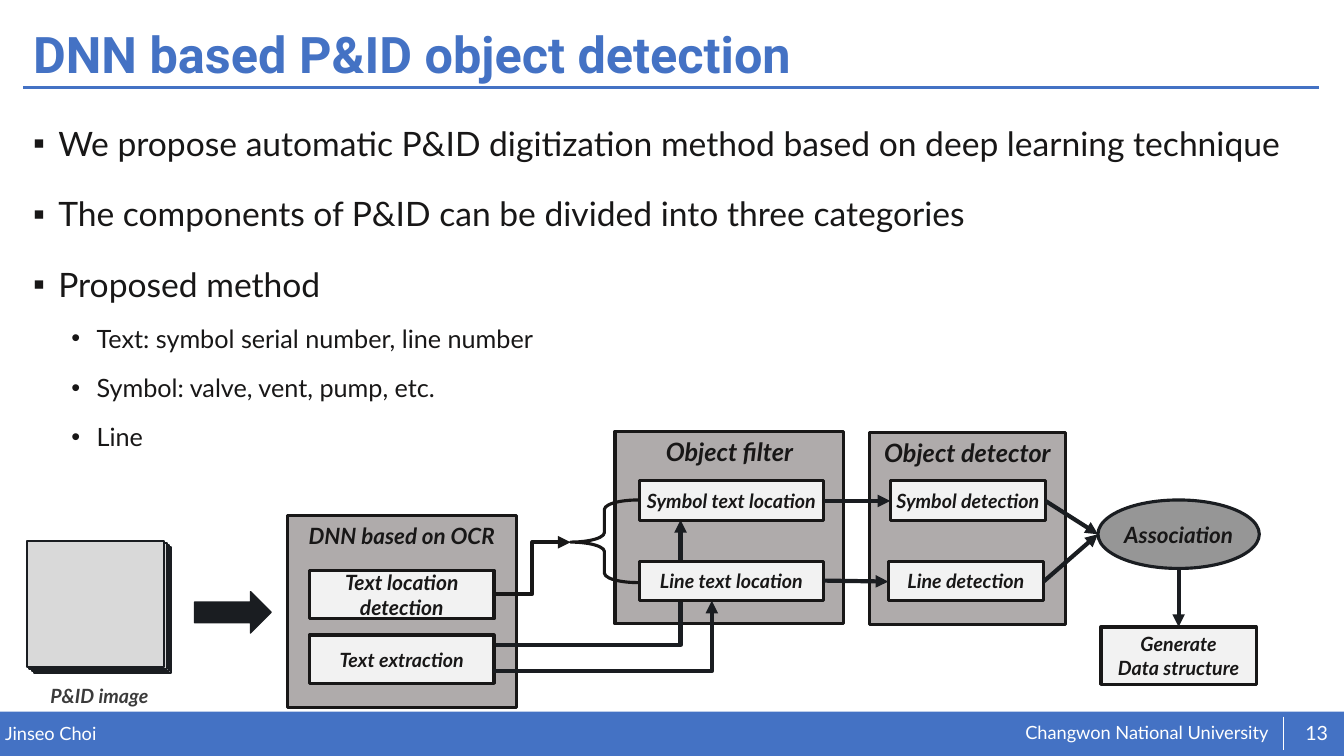
from lxml.etree import SubElement
from pptx import Presentation
from pptx.dml.color import RGBColor
from pptx.enum.shapes import MSO_CONNECTOR, MSO_SHAPE
from pptx.enum.text import MSO_ANCHOR, PP_ALIGN
from pptx.oxml.ns import qn
from pptx.util import Inches, Pt

BLUE, WHITE, INK, DARK = "4472C4", "FFFFFF", "181717", "1A1D21"
PANEL_GREY, BOX_GREY, PAGE_GREY, OVAL_GREY = "AFABAB", "F2F2F2", "D9D9D9", "969696"

BULLETS = [
    ("We propose automatic P&ID digitization method based on deep learning technique", 0),
    ("The components of P&ID can be divided into three categories", 0),
    ("Proposed method", 0),
    ("Text: symbol serial number, line number", 1),
    ("Symbol: valve, vent, pump, etc.", 1),
    ("Line", 1),
]
BULLET_LEVELS = [("▪", 0.25, 24, 10), ("•", 0.63, 18, 5)]

PANELS = [
    ("Object detector", 8.62, 4.29, 1.95, 18, 0.05),
    ("Object filter", 6.1, 4.28, 2.27, 18, 0.05),
    ("DNN based on OCR", 2.85, 5.11, 2.27, 16, 0.07),
]
STEPS = [
    ("Text location detection", 3.07, 5.66, 1.83, 0.48, 15),
    ("Text extraction", 3.07, 6.3, 1.83, 0.48, 14),
    ("Symbol text location", 6.34, 4.77, 1.83, 0.39, 14),
    ("Line text location", 6.34, 5.57, 1.83, 0.39, 14),
    ("Symbol detection", 8.83, 4.77, 1.54, 0.39, 14),
    ("Line detection", 8.81, 5.57, 1.54, 0.39, 14),
    ("Generate\nData structure", 10.92, 6.22, 1.54, 0.57, 14),
]
STRAIGHT_ARROWS = [
    ((8.17, 4.97), (8.83, 4.97)),
    ((8.17, 5.76), (8.81, 5.77)),
    ((10.35, 5.77), (10.89, 5.3)),
    ((10.37, 4.97), (10.89, 5.3)),
    ((11.69, 5.64), (11.69, 6.22)),
]


def color(value):
    return RGBColor.from_string(value)


def format_text(frame, size, ink, font="Lato", bold=False, italic=False, align=PP_ALIGN.LEFT):
    for paragraph in frame.paragraphs:
        paragraph.alignment = align
        for run in paragraph.runs:
            run.font.size = Pt(size)
            run.font.name = font
            run.font.bold = bold
            run.font.italic = italic
            run.font.color.rgb = color(ink)


def set_margins(frame, x, y):
    frame.margin_left = frame.margin_right = Inches(x)
    frame.margin_top = frame.margin_bottom = Inches(y)


def add_label(slide, text, left, top, width, height, size, ink,
              margins=(0, 0), anchor=MSO_ANCHOR.TOP, **style):
    label = slide.shapes.add_textbox(Inches(left), Inches(top), Inches(width), Inches(height))
    frame = label.text_frame
    frame.word_wrap = True
    frame.vertical_anchor = anchor
    set_margins(frame, *margins)
    frame.text = text
    format_text(frame, size, ink, **style)
    return frame


def add_figure(slide, preset, left, top, width, height, fill=None, line=None, weight=2.25):
    figure = slide.shapes.add_shape(preset, Inches(left), Inches(top), Inches(width), Inches(height))
    figure.shadow.inherit = False
    if fill:
        figure.fill.solid()
        figure.fill.fore_color.rgb = color(fill)
    else:
        figure.fill.background()
    if line:
        figure.line.color.rgb = color(line)
        figure.line.width = Pt(weight)
    else:
        figure.line.fill.background()
    return figure


def add_caption(figure, text, size, anchor=MSO_ANCHOR.MIDDLE, margin_y=0):
    frame = figure.text_frame
    frame.word_wrap = True
    frame.vertical_anchor = anchor
    set_margins(frame, 0, margin_y)
    frame.text = text
    format_text(frame, size, INK, bold=True, italic=True, align=PP_ALIGN.CENTER)


def add_line(slide, start, end, ink, weight, arrow=False, route=MSO_CONNECTOR.STRAIGHT):
    points = [Inches(value) for value in (*start, *end)]
    line = slide.shapes.add_connector(route, *points)
    line.line.color.rgb = color(ink)
    line.line.width = Pt(weight)
    properties = line._element.spPr
    if arrow:
        SubElement(properties.find(qn("a:ln")), qn("a:tailEnd"), type="triangle")
    SubElement(properties, qn("a:effectLst"))
    return line


def add_corner_arrow(slide, start, end):
    arrow = add_line(slide, start, end, DARK, 3, True, MSO_CONNECTOR.ELBOW)
    arrow._element.spPr.find(qn("a:prstGeom")).set("prst", "bentConnector2")


def add_bullets(slide):
    frame = add_label(slide, "\n".join(text for text, _ in BULLETS),
                      0.23, 1.01, 12.86, 5.63, 24, INK, (0.1, 0.05))
    for paragraph, (_, level) in zip(frame.paragraphs, BULLETS):
        mark, indent, size, space = BULLET_LEVELS[level]
        paragraph.level = level
        paragraph.line_spacing = 1.4
        paragraph.space_before = Pt(space)
        paragraph.runs[0].font.size = Pt(size)
        properties = paragraph._p.get_or_add_pPr()
        properties.set("marL", str(Inches(indent)))
        properties.set("indent", str(Inches(-0.25)))
        SubElement(properties, qn("a:buFont"), typeface="Arial")
        SubElement(properties, qn("a:buChar"), char=mark)


def add_frame(slide):
    add_figure(slide, MSO_SHAPE.RECTANGLE, 0, 7.06, 13.33, 0.44, BLUE)
    add_label(slide, "Changwon National University", 10.17, 7.16, 2.5, 0.23, 13, WHITE)
    add_label(slide, "Jinseo Choi", 0.05, 7.17, 6.55, 0.22, 13, WHITE)
    add_label(slide, "13", 12.82, 7.07, 0.48, 0.4, 14, WHITE,
              anchor=MSO_ANCHOR.MIDDLE, align=PP_ALIGN.CENTER)
    add_line(slide, (0.23, 0.87), (13.08, 0.87), BLUE, 2)
    add_line(slide, (12.73, 7.11), (12.73, 7.44), WHITE, 0.5)
    title = add_label(slide, "DNN based P&ID object detection", 0.23, 0.18, 12.86, 0.77, 36, BLUE,
                      (0.1, 0.05), MSO_ANCHOR.MIDDLE, font="Roboto", bold=True)
    title.paragraphs[0].line_spacing = 0.9


def add_page_stack(slide):
    for layer in reversed(range(4)):
        add_figure(slide, MSO_SHAPE.RECTANGLE, 0.27 + 0.023 * layer, 5.37 + 0.02 * layer,
                   1.36, 1.25, PAGE_GREY, DARK, 1.5)
    add_label(slide, "P&ID image", 0.4, 6.74, 1.19, 0.34, 14, "3B3B3B", (0.1, 0.05),
              bold=True, italic=True).word_wrap = False
    add_figure(slide, MSO_SHAPE.RIGHT_ARROW, 1.93, 5.87, 0.76, 0.41, DARK, DARK, 1)


def add_pipeline(slide):
    for text, left, top, width, size, margin in PANELS:
        panel = add_figure(slide, MSO_SHAPE.RECTANGLE, left, top, width, 1.91, PANEL_GREY, INK)
        add_caption(panel, text, size, MSO_ANCHOR.TOP, margin)

    add_line(slide, (4.9, 5.89), (5.66, 5.38), INK, 3, True, MSO_CONNECTOR.ELBOW)
    brace = add_figure(slide, MSO_SHAPE.LEFT_BRACE, 5.66, 4.96, 0.67, 0.82, line=INK)
    brace.adjustments[0] = 0.14
    brace.adjustments[1] = 0.51
    add_corner_arrow(slide, (4.89, 6.4), (6.75, 5.16))

    for text, left, top, width, height, size in STEPS:
        step = add_figure(slide, MSO_SHAPE.RECTANGLE, left, top, width, height, BOX_GREY, INK)
        add_caption(step, text, size)
    association = add_figure(slide, MSO_SHAPE.OVAL, 10.89, 4.96, 1.6, 0.68, OVAL_GREY, DARK)
    add_caption(association, "Association", 16)

    add_corner_arrow(slide, (4.89, 6.66), (7.06, 5.96))
    for start, end in STRAIGHT_ARROWS:
        add_line(slide, start, end, DARK, 3, True)


def main():
    deck = Presentation()
    deck.slide_width = Inches(13.33)
    deck.slide_height = Inches(7.5)
    slide = deck.slides.add_slide(deck.slide_layouts[6])
    add_frame(slide)
    add_bullets(slide)
    add_page_stack(slide)
    add_pipeline(slide)
    deck.save("out.pptx")


if __name__ == "__main__":
    main()
